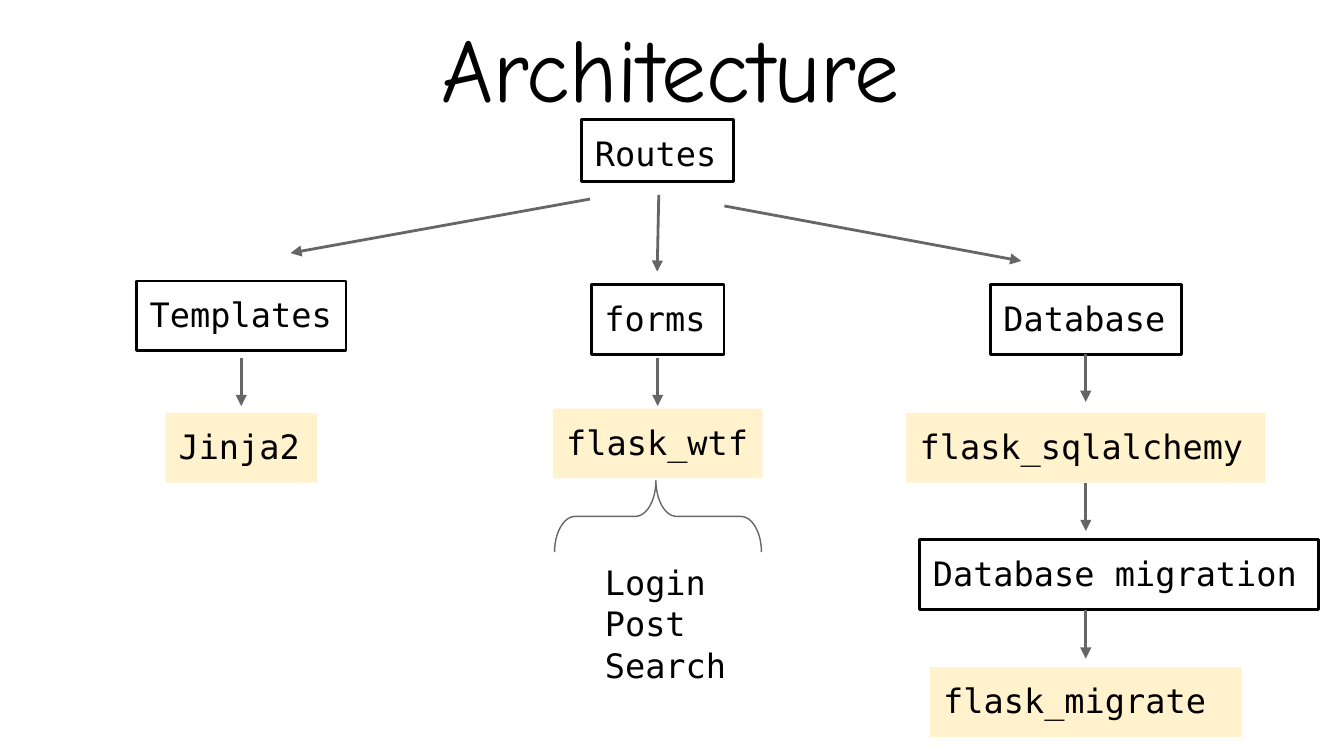
from pptx import Presentation
from pptx import util as u
from pptx.dml.color import RGBColor
from pptx.enum import shapes, text
from pptx.oxml.ns import qn
from lxml import etree

# Content: label, boxed in outline or tinted, centre x, top, width (cm)
LEFT, MID, RIGHT = 4.56, 12.43, 20.52
TITLE = "Architecture"
FORMS = ["Login", "Post", "Search"]
NODES = [
    ("Routes", "frame", MID, 2.26, 2.87),
    ("Templates", "frame", LEFT, 5.31, 3.96),
    ("forms", "frame", MID, 5.38, 2.51),
    ("Database", "frame", RIGHT, 5.38, 3.61),
    ("Jinja2", "tint", LEFT, 7.8, 2.87),
    ("flask_wtf", "tint", MID, 7.72, 3.96),
    ("flask_sqlalchemy", "tint", RIGHT, 7.8, 6.78),
    ("Database migration", "frame", 21.15, 10.19, 7.54),
    ("flask_migrate", "tint", RIGHT, 12.6, 5.89),
]
FAN = [(11.15, 3.76, 5.49, 4.78), (12.45, 3.68, 12.42, 5.13),
       (13.69, 3.89, 19.3, 4.93)]
DROPS = [(LEFT, 6.76), (MID, 6.76), (RIGHT, 6.68), (RIGHT, 9.12),
         (RIGHT, 11.53)]
DROP = 0.91
HIGH = {"Routes": 1.17}

THEME = {
    "ink": RGBColor(0, 0, 0), "grey": RGBColor(0x66, 0x66, 0x66),
    "tint": RGBColor(0xFF, 0xF2, 0xCC),
    "head": "Comic Neue", "mono": "DejaVu Sans Mono",
    "big": 48, "body": 18, "line": 1.5, "thin": 0.75, "pad": 0.25,
}


def write(shape, lines, font="mono", size="body", lead=None):
    """Fill a shape with left-aligned lines of text."""
    frame = shape.text_frame
    frame.word_wrap = True
    frame.auto_size = text.MSO_AUTO_SIZE.NONE
    frame.vertical_anchor = text.MSO_ANCHOR.TOP
    frame.margin_left = frame.margin_top = u.Cm(THEME["pad"])
    frame.margin_right = frame.margin_bottom = 0
    frame.text = "\n".join(lines)
    for par in frame.paragraphs:
        par.alignment = text.PP_ALIGN.LEFT
        par.space_before = u.Pt(0)
        if lead:
            par.line_spacing = lead
        face = par.runs[0].font
        face.name, face.size = THEME[font], u.Pt(THEME[size])
        face.color.rgb = THEME["ink"]


def place(shape, *box):
    shape.left, shape.top, shape.width, shape.height = map(u.Cm, box)


def stroke(line, color, width):
    line.color.rgb = THEME[color]
    line.width = u.Pt(THEME[width])


def node(slide, label, kind, mid, top, wide):
    box = slide.shapes.add_shape(
        shapes.MSO_SHAPE.RECTANGLE, u.Cm(mid - wide / 2), u.Cm(top),
        u.Cm(wide), u.Cm(HIGH.get(label, 1.32)))
    box.shadow.inherit = False
    if kind == "tint":
        box.fill.solid()
        box.fill.fore_color.rgb = THEME["tint"]
        box.line.fill.background()
    else:
        box.fill.background()
        stroke(box.line, "ink", "line")
    write(box, [label])


def arrow(slide, *ends):
    link = slide.shapes.add_connector(
        shapes.MSO_CONNECTOR.STRAIGHT, *map(u.Cm, ends))
    stroke(link.line, "grey", "line")
    tip = etree.SubElement(link.line._get_or_add_ln(), qn("a:tailEnd"))
    tip.set("type", "triangle")
    etree.SubElement(link._element.spPr, qn("a:effectLst"))


def main():
    deck = Presentation()
    deck.slide_width, deck.slide_height = u.Cm(25.4), u.Cm(14.28)
    slide = deck.slides.add_slide(deck.slide_layouts[1])

    # Title
    title = slide.shapes.title
    place(title, 8.1, 0, 9.2, 2.36)
    write(title, [TITLE], font="head", size="big")

    # Boxes and arrows
    for item in NODES:
        node(slide, *item)
    for ends in FAN:
        arrow(slide, *ends)
    for x, y in DROPS:
        arrow(slide, x, y, x, y + DROP)

    # Brace above the list of forms
    brace = slide.shapes.add_shape(
        shapes.MSO_SHAPE.LEFT_BRACE, u.Cm(11.76), u.Cm(7.8),
        u.Cm(1.35), u.Cm(3.91))
    brace.rotation = 90
    brace.adjustments[0], brace.adjustments[1] = 0.29, 0.51
    brace.shadow.inherit = False
    brace.fill.background()
    stroke(brace.line, "grey", "thin")

    # List of forms, without bullets
    body = slide.placeholders[1]
    place(body, 11.18, 10.34, 3.3, 3.3)
    write(body, FORMS, lead=1.03)
    for par in body.text_frame.paragraphs:
        props = par._p.get_or_add_pPr()
        props.set("marL", "0")
        props.set("indent", "0")
        etree.SubElement(props, qn("a:buNone"))

    deck.save("out.pptx")


if __name__ == "__main__":
    main()
